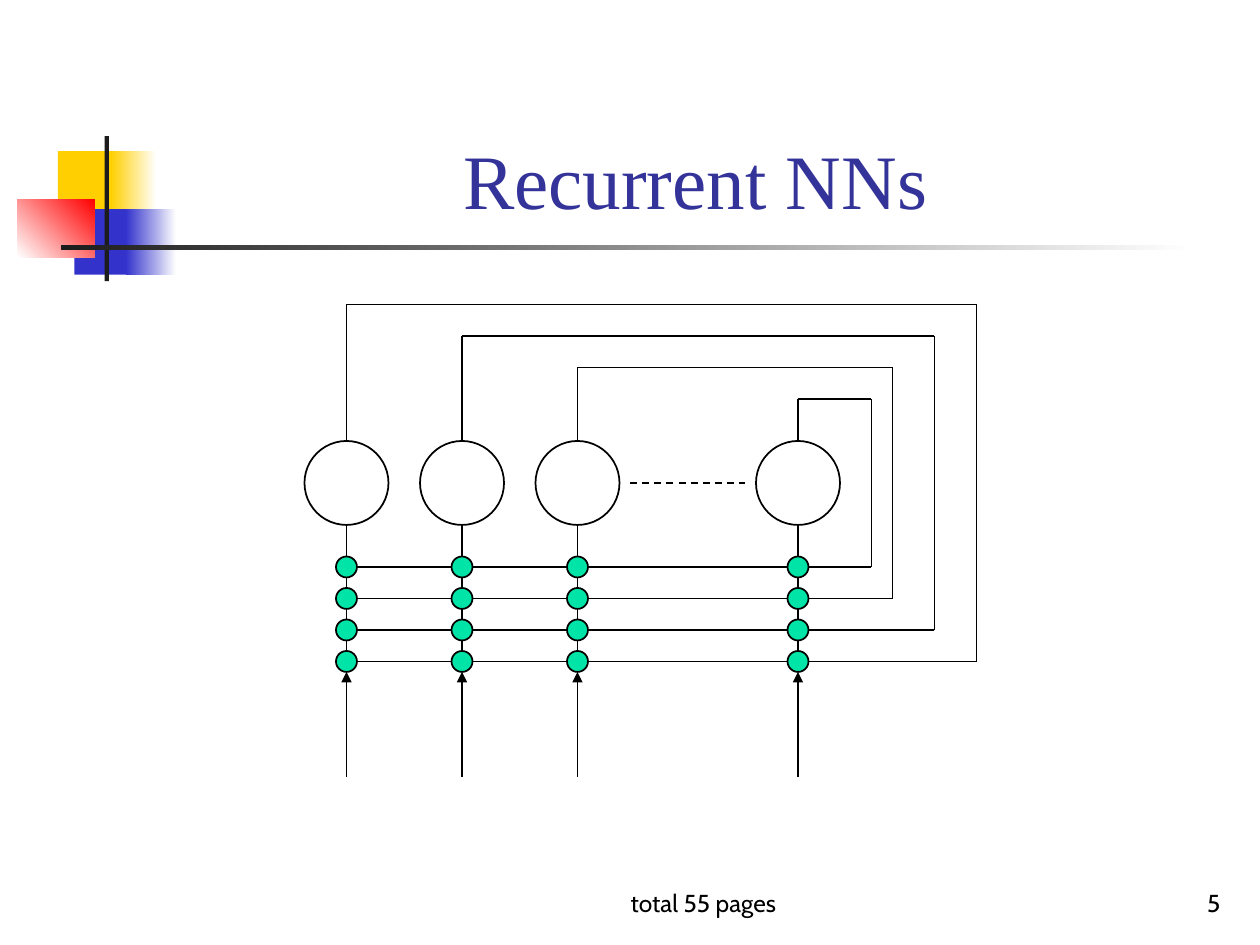
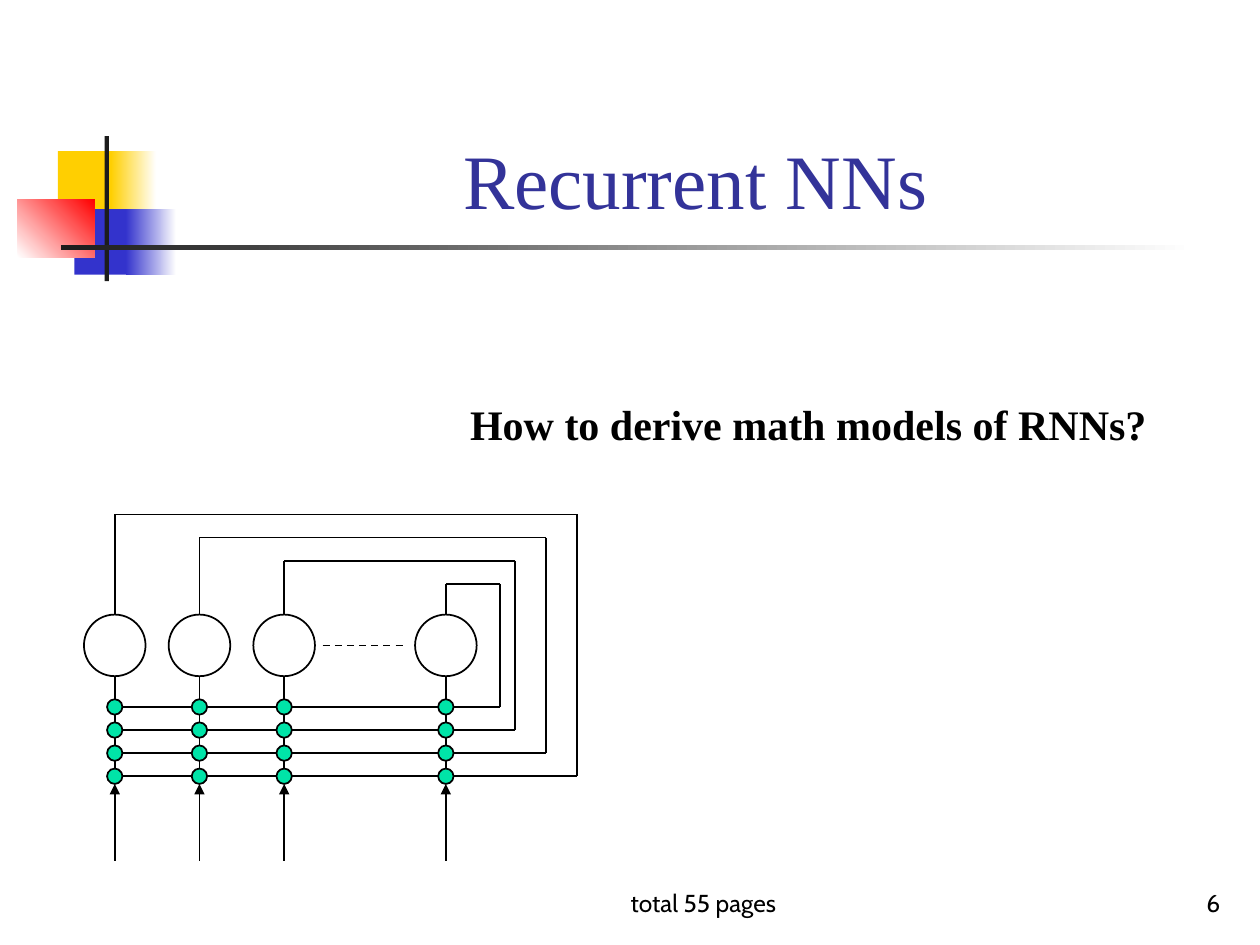
from dataclasses import dataclass
from typing import Any, NamedTuple, Optional

from lxml.etree import SubElement
from pptx import Presentation
from pptx.dml.color import RGBColor
from pptx.enum.dml import MSO_LINE
from pptx.enum.shapes import MSO_CONNECTOR, MSO_SHAPE
from pptx.enum.text import MSO_ANCHOR, PP_ALIGN
from pptx.oxml.ns import qn
from pptx.util import Pt


@dataclass(frozen=True)
class Theme:
    black: RGBColor = RGBColor(0x00, 0x00, 0x00)
    white: RGBColor = RGBColor(0xFF, 0xFF, 0xFF)
    title: RGBColor = RGBColor(0x33, 0x33, 0x99)
    yellow: RGBColor = RGBColor(0xFF, 0xCF, 0x01)
    blue: RGBColor = RGBColor(0x33, 0x33, 0xCC)
    red: RGBColor = RGBColor(0xFF, 0x00, 0x00)
    charcoal: RGBColor = RGBColor(0x1C, 0x1C, 0x1C)
    weight: RGBColor = RGBColor(0x00, 0xE4, 0xA8)
    title_size: int = 44
    question_size: int = 24
    footer_size: int = 14
    line_width: int = 1
    serif: str = "Times New Roman"
    sans: str = "Cabin"


THEME = Theme()


class Box(NamedTuple):
    left: float
    top: float
    width: float
    height: float

    def lengths(self) -> list[Pt]:
        return [Pt(value) for value in self]


class Panel(NamedTuple):
    """A rectangle of the corner ornament, fading to `end` when it is given."""
    box: Box
    color: RGBColor
    end: Optional[RGBColor] = None
    angle: float = 0


class TextStyle(NamedTuple):
    font: dict[str, Any]
    color: RGBColor
    frame: dict[str, Any]
    alignment: PP_ALIGN = PP_ALIGN.CENTER


class Loop(NamedTuple):
    """Feedback path of one neuron, in grid units from the first loop's corner."""
    column: int
    top: int
    right: int
    row: int


class Network(NamedTuple):
    """Position of the outer loop's corner and size of one grid unit."""
    left: float
    top: float
    unit: float

    def point(self, column: float, row: float) -> tuple[Pt, Pt]:
        return Pt(self.left + column * self.unit), Pt(self.top + row * self.unit)


PANELS = [
    Panel(Box(33.1, 86.4, 34.5, 37.4), THEME.yellow),
    Panel(Box(63.4, 86.4, 25.9, 37.4), THEME.yellow, THEME.white),
    Panel(Box(42.5, 119.5, 33.1, 37.4), THEME.blue),
    Panel(Box(72, 119.5, 28.8, 37.4), THEME.blue, THEME.white),
    Panel(Box(10.1, 113.8, 43.9, 33.1), THEME.white, THEME.red, 45),
    Panel(Box(59.8, 77.8, 2.5, 82.8), THEME.charcoal),
    Panel(Box(34.6, 140.2, 648, 2.5), THEME.charcoal, THEME.white),
]

BOTTOM = {"word_wrap": True, "vertical_anchor": MSO_ANCHOR.BOTTOM}
TITLE = TextStyle({"name": THEME.serif, "size": Pt(THEME.title_size)}, THEME.title, BOTTOM)
FOOTER = TextStyle({"name": THEME.sans, "size": Pt(THEME.footer_size)}, THEME.black, BOTTOM)
PAGE_NUMBER = FOOTER._replace(alignment=PP_ALIGN.RIGHT)
QUESTION = TextStyle(
    {"name": THEME.serif, "size": Pt(THEME.question_size), "bold": True},
    THEME.black,
    {"word_wrap": False, "vertical_anchor": MSO_ANCHOR.TOP},
)

LOOPS = [
    Loop(column, top=3 * index, right=right, row=34 - 3 * index)
    for index, (column, right) in enumerate([(0, 60), (11, 56), (22, 52), (43, 50)])
]
BOTTOM_ROW = LOOPS[0].row
NEURON_ROW, NEURON_RADIUS, WEIGHT_RADIUS = 17, 4, 1
INPUT_ROW = 45
ELLIPSIS_START, ELLIPSIS_END = 27, 38


def set_attributes(target: Any, values: dict[str, Any]) -> None:
    for name, value in values.items():
        setattr(target, name, value)


def add_panel(slide: Any, panel: Panel) -> None:
    shape = slide.shapes.add_shape(MSO_SHAPE.RECTANGLE, *panel.box.lengths())
    shape.shadow.inherit = False
    shape.line.fill.background()
    if panel.end is None:
        shape.fill.solid()
        shape.fill.fore_color.rgb = panel.color
        return
    shape.fill.gradient()
    shape.fill.gradient_angle = panel.angle
    for stop, color in zip(shape.fill.gradient_stops, (panel.color, panel.end)):
        stop.color.rgb = color


def add_text(slide: Any, box: Box, text: str, style: TextStyle) -> None:
    frame = slide.shapes.add_textbox(*box.lengths()).text_frame
    set_attributes(frame, style.frame)
    paragraph = frame.paragraphs[0]
    paragraph.alignment = style.alignment
    run = paragraph.add_run()
    run.text = text
    set_attributes(run.font, style.font)
    run.font.color.rgb = style.color


def add_line(shapes: Any, network: Network, start: tuple[float, float],
             end: tuple[float, float], dashed: bool = False, arrow: bool = False) -> None:
    connector = shapes.add_connector(
        MSO_CONNECTOR.STRAIGHT, *network.point(*start), *network.point(*end))
    connector.line.width = Pt(THEME.line_width)
    connector.line.color.rgb = THEME.black
    if dashed:
        connector.line.dash_style = MSO_LINE.DASH
    if arrow:
        SubElement(connector.line._get_or_add_ln(), qn("a:tailEnd"), type="triangle")
    SubElement(connector._element.spPr, qn("a:effectLst"))


def add_circle(shapes: Any, network: Network, column: float, row: float,
               radius: float, color: RGBColor) -> None:
    diameter = Pt(2 * radius * network.unit)
    corner = network.point(column - radius, row - radius)
    shape = shapes.add_shape(MSO_SHAPE.OVAL, *corner, diameter, diameter)
    shape.shadow.inherit = False
    shape.fill.solid()
    shape.fill.fore_color.rgb = color
    shape.line.color.rgb = THEME.black
    shape.line.width = Pt(THEME.line_width)


def add_network(slide: Any, network: Network) -> None:
    shapes = slide.shapes.add_group_shape().shapes
    add_line(shapes, network, (ELLIPSIS_START, NEURON_ROW),
             (ELLIPSIS_END, NEURON_ROW), dashed=True)
    for column, top, right, row in LOOPS:
        add_line(shapes, network, (column, top), (column, BOTTOM_ROW))
        add_line(shapes, network, (column, top), (right, top))
        add_line(shapes, network, (right, top), (right, row))
        add_line(shapes, network, (right, row), (LOOPS[0].column, row))
    for loop in LOOPS:
        add_circle(shapes, network, loop.column, NEURON_ROW, NEURON_RADIUS, THEME.white)
        for source in LOOPS:
            add_circle(shapes, network, loop.column, source.row, WEIGHT_RADIUS, THEME.weight)
        add_line(shapes, network, (loop.column, INPUT_ROW),
                 (loop.column, BOTTOM_ROW + WEIGHT_RADIUS), arrow=True)


def add_base_slide(presentation: Any, number: int) -> Any:
    """Add a slide with the ornament, title and footer that all slides share."""
    slide = presentation.slides.add_slide(presentation.slide_layouts[6])
    slide.background.fill.solid()
    slide.background.fill.fore_color.rgb = THEME.white
    for panel in PANELS:
        add_panel(slide, panel)
    add_text(slide, Box(288, 492, 228, 36), "total 55 pages", FOOTER)
    add_text(slide, Box(554.4, 492, 150, 36), str(number), PAGE_NUMBER)
    add_text(slide, Box(90.7, 16.6, 613.4, 115.2), "Recurrent NNs", TITLE)
    return slide


def main() -> None:
    presentation = Presentation()
    presentation.slide_width, presentation.slide_height = Pt(720), Pt(540)

    network_slide = add_base_slide(presentation, 5)
    add_network(network_slide, Network(198, 174, 6))

    question_slide = add_base_slide(presentation, 6)
    add_network(question_slide, Network(65.6, 294, 4.4))
    add_text(question_slide, Box(261.4, 224, 401, 36),
             "How to derive math models of RNNs?", QUESTION)

    presentation.save("out.pptx")


if __name__ == "__main__":
    main()
